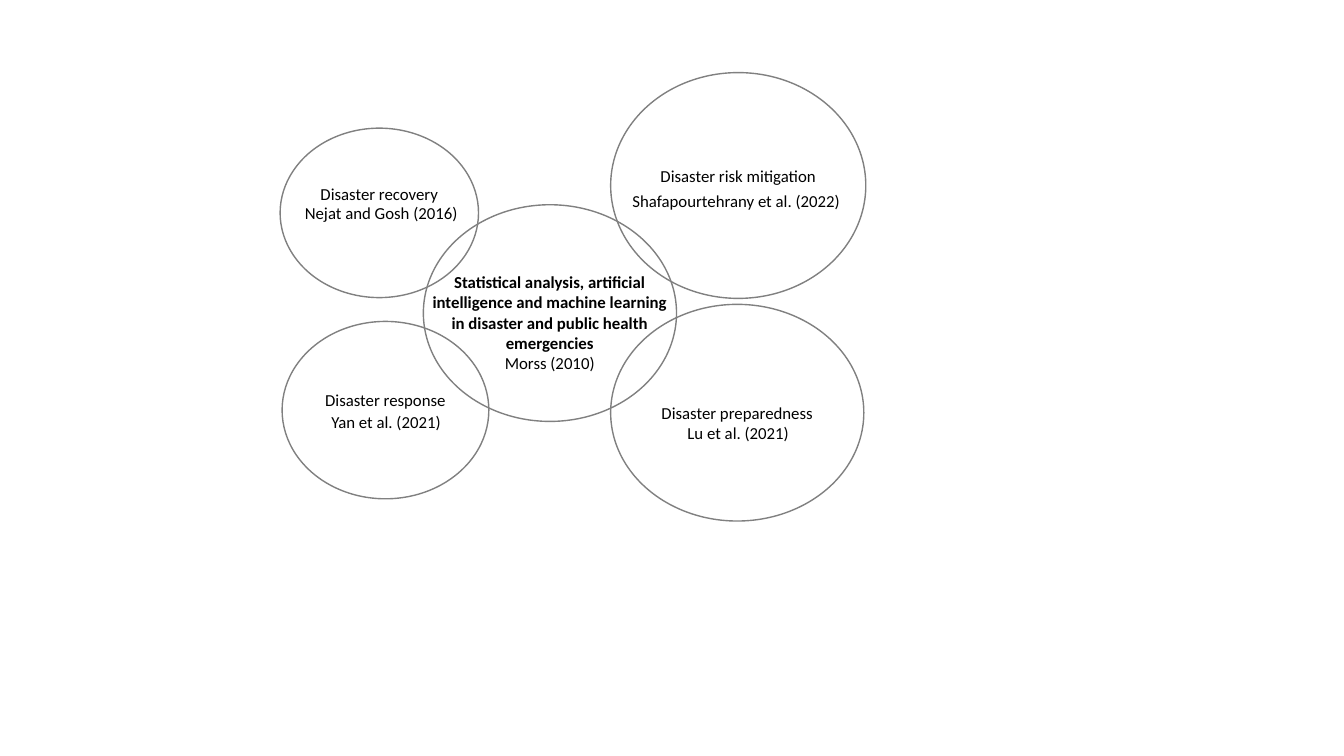
"""Build a slide of five overlapping circles on disaster research themes."""
from pptx import Presentation, util as u
from pptx.dml.color import RGBColor
from pptx.enum import shapes, text

HUES = {"ring": "808080", "ink": "000000"}


def write(shape, words, bold=False, first=True, anchor="TOP", lift=0):
    frame = shape.text_frame
    frame.word_wrap = True
    frame.vertical_anchor = text.MSO_ANCHOR[anchor]
    frame.margin_bottom = u.Cm(0.13 + lift)
    para = frame.paragraphs[0] if first else frame.add_paragraph()
    para.alignment = text.PP_ALIGN.CENTER
    run = para.add_run()
    run.text = words
    run.font.name = "Calibri"
    run.font.size = u.Pt(12)
    run.font.bold = bold
    run.font.color.rgb = RGBColor.from_string(HUES["ink"])


deck = Presentation()
deck.slide_width, deck.slide_height = u.Cm(33.87), u.Cm(19.05)
slide = deck.slides.add_slide(deck.slide_layouts[6])

rings = [
    ("Disaster response", 7.11, 8.1, 5.21, 4.47, 0.5),
    ("Disaster recovery", 7.06, 3.23, 5, 4.27, 0.97),
    ("Disaster risk mitigation", 15.39, 1.83, 6.43, 5.69, 0.5),
    ("Disaster preparedness", 15.39, 7.67, 6.38, 5.46, 0),
    ("", 10.67, 5.16, 6.38, 5.46, 0),
]
for theme, *place, lift in rings:
    ring = slide.shapes.add_shape(shapes.MSO_SHAPE.OVAL, *map(u.Cm, place))
    ring.shadow.inherit = False
    ring.fill.background()
    ring.line.color.rgb = RGBColor.from_string(HUES["ring"])
    ring.line.width = u.Pt(1)
    if theme:
        write(ring, theme, anchor="MIDDLE", lift=lift)

core = slide.shapes.add_textbox(*map(u.Cm, (10.64, 6.73, 6.43, 2.82)))
write(core, "Statistical analysis, artificial intelligence and machine learning "
      "in disaster and public health emergencies", bold=True)
write(core, "Morss (2010)", first=False)

cites = [
    ("Lu et al. (2021)", 16.46, 10.52, 4.29),
    ("Shafapourtehrany et al. (2022)", 15.57, 4.67, 5.97),
    ("Nejat and Gosh (2016)", 7.11, 4.98, 5),
    ("Yan et al. (2021)", 7.9, 10.26, 3.66),
]
for cite, left, top, width in cites:
    box = slide.shapes.add_textbox(*map(u.Cm, (left, top, width, 0.76)))
    write(box, cite)

deck.save("out.pptx")
